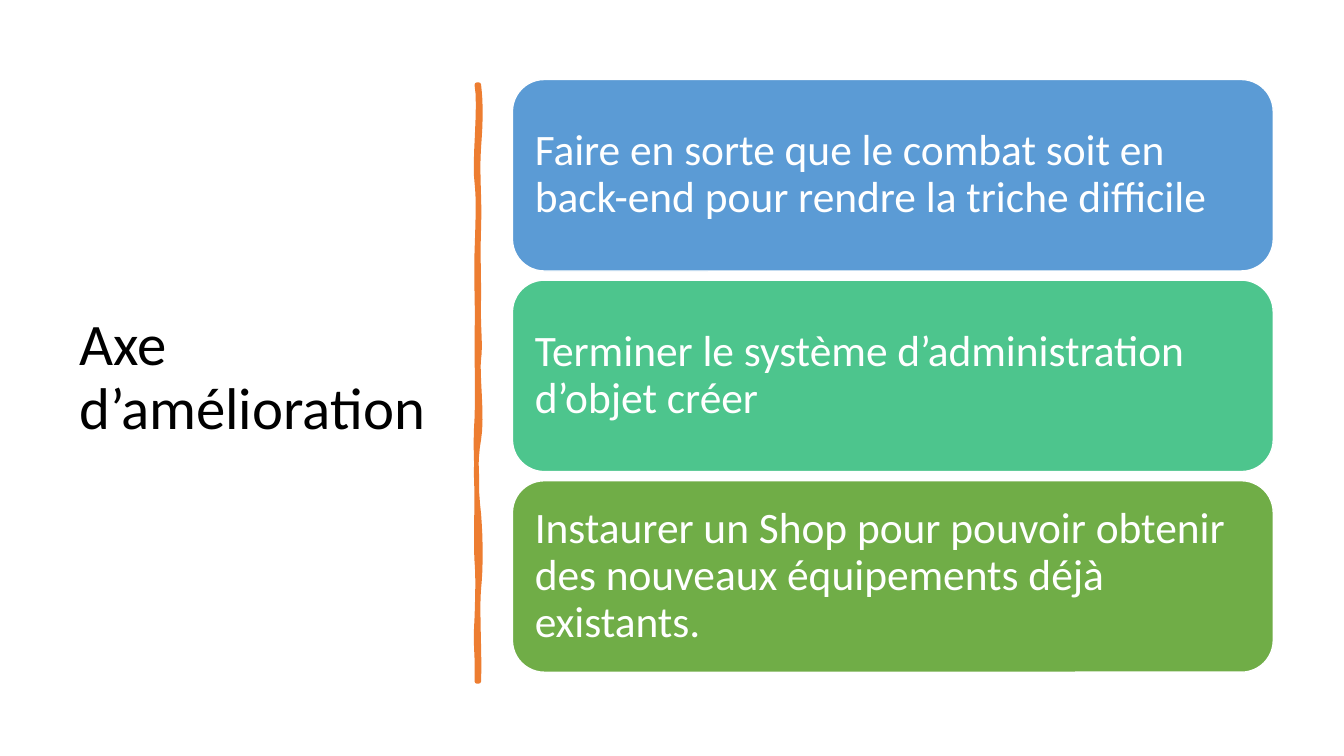
import pptx
import pptx.util
from pptx.dml.color import RGBColor
from pptx.enum.shapes import MSO_SHAPE
from pptx.enum.text import MSO_ANCHOR, PP_ALIGN

Pt = pptx.util.Pt

BLACK = RGBColor(0x00, 0x00, 0x00)
WHITE = RGBColor(0xFF, 0xFF, 0xFF)
ORANGE = RGBColor(0xED, 0x7D, 0x31)
BLUE = RGBColor(0x5B, 0x9B, 0xD5)
TEAL = RGBColor(0x4D, 0xC5, 0x8D)
GREEN = RGBColor(0x70, 0xAD, 0x47)

CARDS = [
    ("Faire en sorte que le combat soit en back-end pour rendre la triche difficile", BLUE),
    ("Terminer le système d’administration d’objet créer", TEAL),
    ("Instaurer un Shop pour pouvoir obtenir des nouveaux équipements déjà existants.", GREEN),
]

# Edges of the brush stroke: a start point, then three Bézier points per curve
RIGHT_EDGE = [
    (1.4, 0),
    (2.9, 13), (2.9, 25.2), (1.4, 44.6),
    (0, 64.1), (2.2, 79.9), (1.4, 102.2),
    (0.7, 124.6), (1.4, 128.2), (1.4, 151.2),
    (0.7, 173.5), (2.9, 185.8), (1.4, 195.8),
    (0, 205.9), (4.3, 237.6), (1.4, 253.4),
    (-1.4, 268.6), (-0.7, 288), (1.4, 306.7),
    (2.9, 325.4), (2.9, 345.6), (1.4, 360),
    (0, 373.7), (2.2, 407.5), (1.4, 426.2),
]
LEFT_EDGE = [
    (0, 426.2),
    (0.7, 404.6), (-1.4, 403.2), (0, 380.9),
    (0.7, 359.3), (0.7, 349.9), (0, 340.6),
    (-0.7, 331.2), (0, 295.9), (0, 283),
    (0, 270), (-1.4, 259.9), (0, 238.3),
    (0.7, 217.4), (0, 208.1), (0, 180.7),
    (0.7, 154.1), (-0.7, 141.8), (0, 119.5),
    (0.7, 96.5), (1.4, 83.5), (0, 69.8),
    (-2.2, 56.9), (2.9, 14.4), (0, 0),
]


def write_text(shape, text, size, color, inset_x, inset_y):
    frame = shape.text_frame
    frame.word_wrap = True
    frame.vertical_anchor = MSO_ANCHOR.MIDDLE
    frame.margin_left = frame.margin_right = Pt(inset_x)
    frame.margin_top = frame.margin_bottom = Pt(inset_y)
    para = frame.paragraphs[0]
    para.text = text
    para.alignment = PP_ALIGN.LEFT
    para.line_spacing = 0.9
    para.font.name = "Calibri"
    para.font.size = Pt(size)
    para.font.color.rgb = color


def add_title(page, left, top, width, height):
    box = page.shapes.add_textbox(Pt(left), Pt(top), Pt(width), Pt(height))
    write_text(box, "Axe d’amélioration", 42, BLACK, 7.2, 3.6)


def trace_edge(points, steps=8):
    """Return the points along a chain of cubic Bézier curves."""
    traced = [points[0]]
    for first in range(0, len(points) - 1, 3):
        curve = points[first:first + 4]
        for step in range(1, steps + 1):
            t = step / steps
            weights = ((1 - t) ** 3, 3 * t * (1 - t) ** 2, 3 * t * t * (1 - t), t ** 3)
            traced.append(tuple(
                sum(weight * point[axis] for weight, point in zip(weights, curve))
                for axis in (0, 1)))
    return traced


def add_brush_stroke(page, left, top):
    units = 100  # drawing units per point
    outline = [((left + x) * units, (top + y) * units)
               for x, y in trace_edge(RIGHT_EDGE) + trace_edge(LEFT_EDGE)]
    builder = page.shapes.build_freeform(*outline[0], scale=Pt(1) / units)
    builder.add_line_segments(outline[1:], close=True)
    stroke = builder.convert_to_shape()
    stroke.shadow.inherit = False
    stroke.fill.solid()
    stroke.fill.fore_color.rgb = ORANGE
    stroke.line.color.rgb = ORANGE
    stroke.line.width = Pt(3.25)


def add_cards(page, left, top, width, height, gap):
    card_height = (height - gap * (len(CARDS) - 1)) / len(CARDS)
    for index, (text, color) in enumerate(CARDS):
        card_top = top + index * (card_height + gap)
        card = page.shapes.add_shape(MSO_SHAPE.ROUNDED_RECTANGLE, Pt(left), Pt(card_top),
                                     Pt(width), Pt(card_height))
        card.shadow.inherit = False
        card.fill.solid()
        card.fill.fore_color.rgb = color
        card.line.color.rgb = WHITE
        card.line.width = Pt(1)
        write_text(card, text, 31, WHITE, 9.3, 9.3)


def main():
    deck = pptx.Presentation()
    deck.slide_width, deck.slide_height = Pt(960), Pt(540)
    page = deck.slides.add_slide(deck.slide_layouts[6])

    # Title on the left, divider, then the stacked cards
    add_title(page, 50, 50.4, 269, 440)
    add_brush_stroke(page, 340.6, 60.5)
    add_cards(page, 366, 56.8, 543.5, 423.4, 6.5)

    deck.save("out.pptx")


if __name__ == "__main__":
    main()
